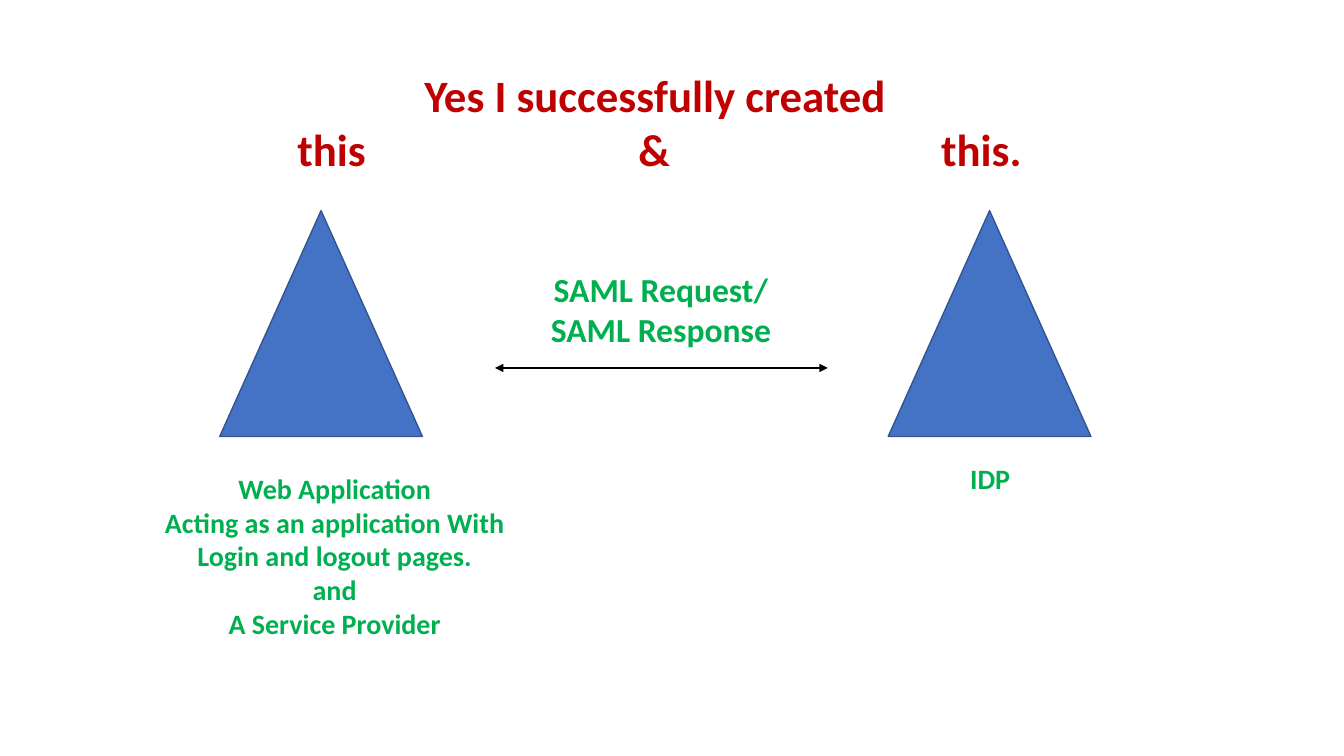
"""Build the slide showing a service provider and an IDP exchanging SAML messages."""
import dataclasses

import lxml.etree
import pptx
import pptx.dml.color
import pptx.enum.shapes
import pptx.enum.text
import pptx.oxml.ns
import pptx.util


@dataclasses.dataclass(frozen=True)
class Theme:
    font: str = "Calibri"
    red: str = "C00000"
    green: str = "00B050"
    blue: str = "4472C4"
    edge: str = "325491"
    black: str = "000000"
    title: int = 32
    label: int = 24
    note: int = 20
    thin: float = 1
    thick: float = 1.5


def tint(code):
    return pptx.dml.color.RGBColor.from_string(code)


def add(parent, tag, **attrs):
    return lxml.etree.SubElement(parent, pptx.oxml.ns.qn(tag), attrs)


class Board:
    def __init__(self, deck, theme):
        self.deck = deck
        self.theme = theme
        self.slide = deck.slides.add_slide(deck.slide_layouts[6])

    def place(self, *shares):
        sides = (self.deck.slide_width, self.deck.slide_height) * 2
        return [round(side * share / 100) for side, share in zip(sides, shares)]

    def text(self, box, lines, size, color, wrap=False):
        frame = self.slide.shapes.add_textbox(*self.place(*box)).text_frame
        frame.word_wrap = wrap
        frame.text = "\n".join(lines)
        for para in frame.paragraphs:
            para.alignment = pptx.enum.text.PP_ALIGN.CENTER
            para.font.name = self.theme.font
            para.font.size = pptx.util.Pt(size)
            para.font.bold = True
            para.font.color.rgb = tint(color)
        return frame

    def tabs(self, para, stops):
        para.alignment = pptx.enum.text.PP_ALIGN.LEFT
        group = add(para._p.get_or_add_pPr(), "a:tabLst")
        for share, kind in stops:
            add(group, "a:tab", pos=str(self.place(share)[0]), algn=kind)
        props = group.getparent()
        fonts = props.find(pptx.oxml.ns.qn("a:defRPr"))
        if fonts is not None:
            fonts.addprevious(group)

    def peak(self, box):
        kind = pptx.enum.shapes.MSO_SHAPE.ISOSCELES_TRIANGLE
        shape = self.slide.shapes.add_shape(kind, *self.place(*box))
        shape.shadow.inherit = False
        shape.fill.solid()
        shape.fill.fore_color.rgb = tint(self.theme.blue)
        shape.line.color.rgb = tint(self.theme.edge)
        shape.line.width = pptx.util.Pt(self.theme.thin)

    def arrow(self, ends):
        kind = pptx.enum.shapes.MSO_CONNECTOR.STRAIGHT
        link = self.slide.shapes.add_connector(kind, *self.place(*ends))
        link.line.color.rgb = tint(self.theme.black)
        link.line.width = pptx.util.Pt(self.theme.thick)
        for tag in ("a:headEnd", "a:tailEnd"):
            add(link.line._get_or_add_ln(), tag, type="triangle")
        add(link._element.spPr, "a:effectLst")


def main():
    deck = pptx.Presentation()
    deck.slide_width = pptx.util.Inches(13.33)
    deck.slide_height = pptx.util.Inches(7.5)
    theme = Theme()
    board = Board(deck, theme)

    title = board.text(
        (21.38, 8.27, 55.5, 15.73),
        ["Yes I successfully created ", "this\t&\tthis."],
        theme.title, theme.red, wrap=True)
    board.tabs(title.paragraphs[1], [(26.56, "ctr"), (53.9, "r")])

    for left in (16.35, 66.09):
        board.peak((left, 27.87, 15.08, 29.87))

    board.text(
        (11.4, 61.73, 27, 23.73),
        ["Web Application", "Acting as an application With",
         "Login and logout pages.", "and", "A Service Provider"],
        theme.note, theme.green)
    board.text((71.42, 60.4, 4.5, 5.87), ["IDP"], theme.note, theme.green)
    board.arrow((36.83, 48.67, 61.59, 48.67))
    board.text(
        (40.14, 34.93, 18.08, 12.13), ["SAML Request/", "SAML Response"],
        theme.label, theme.green)

    deck.save("out.pptx")


if __name__ == "__main__":
    main()
